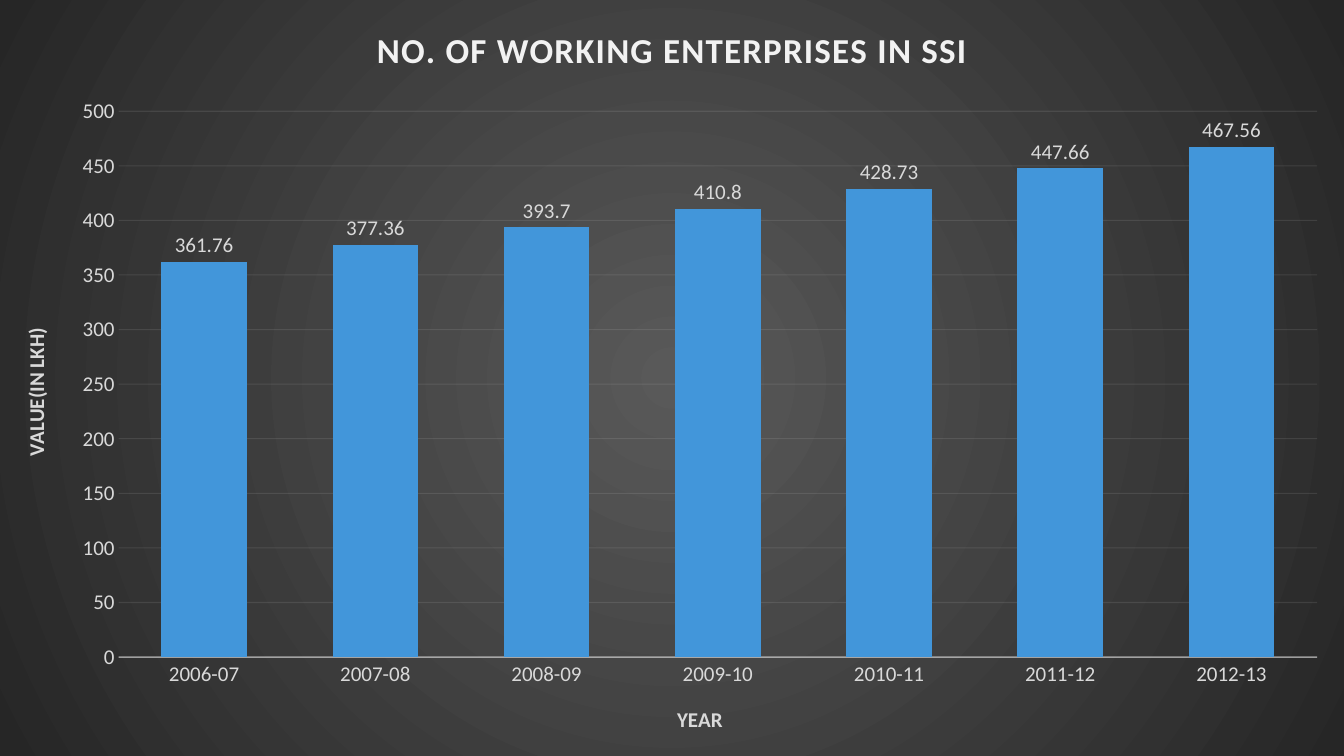
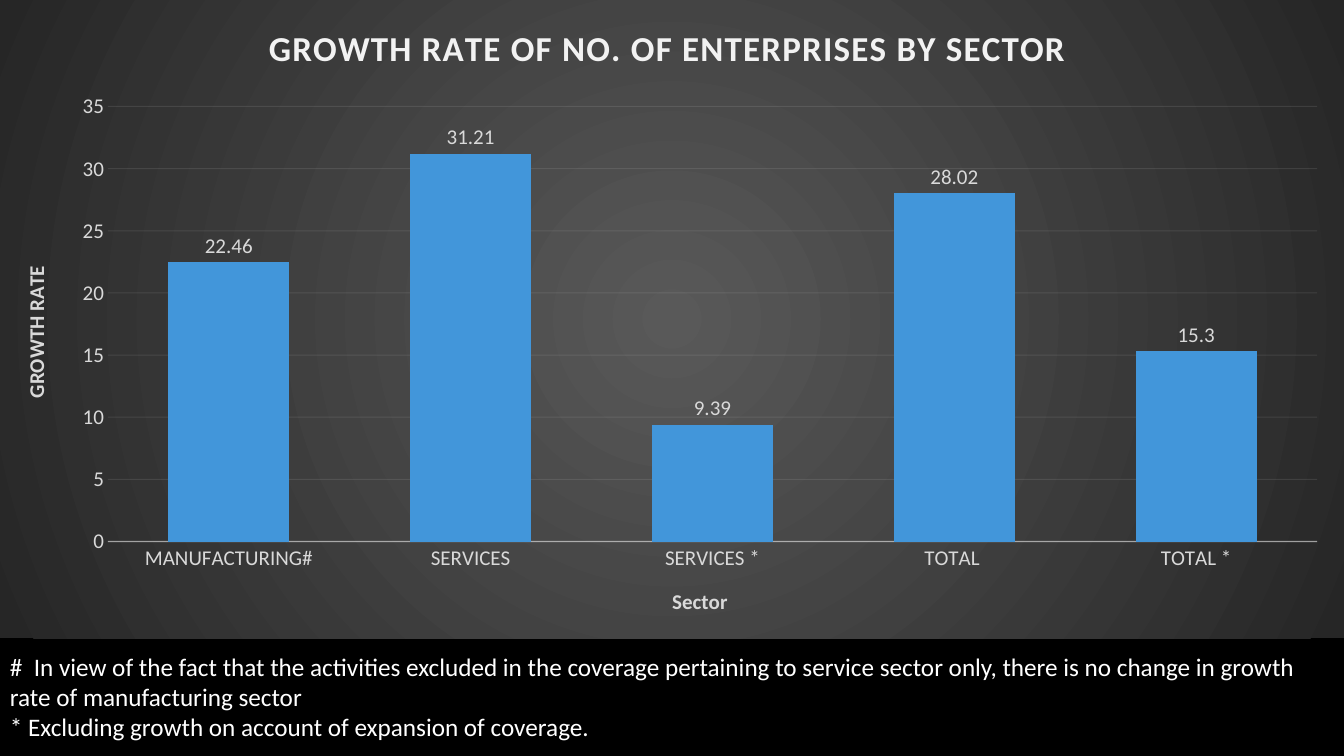
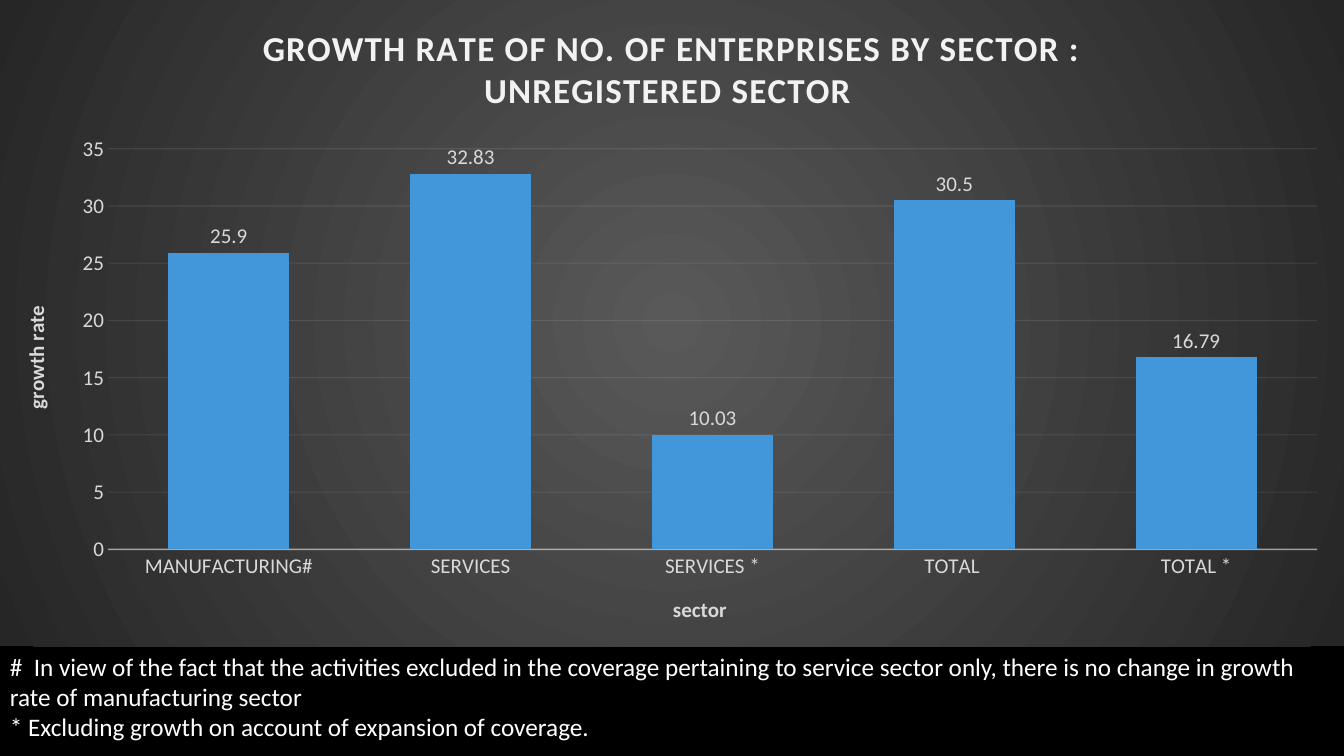
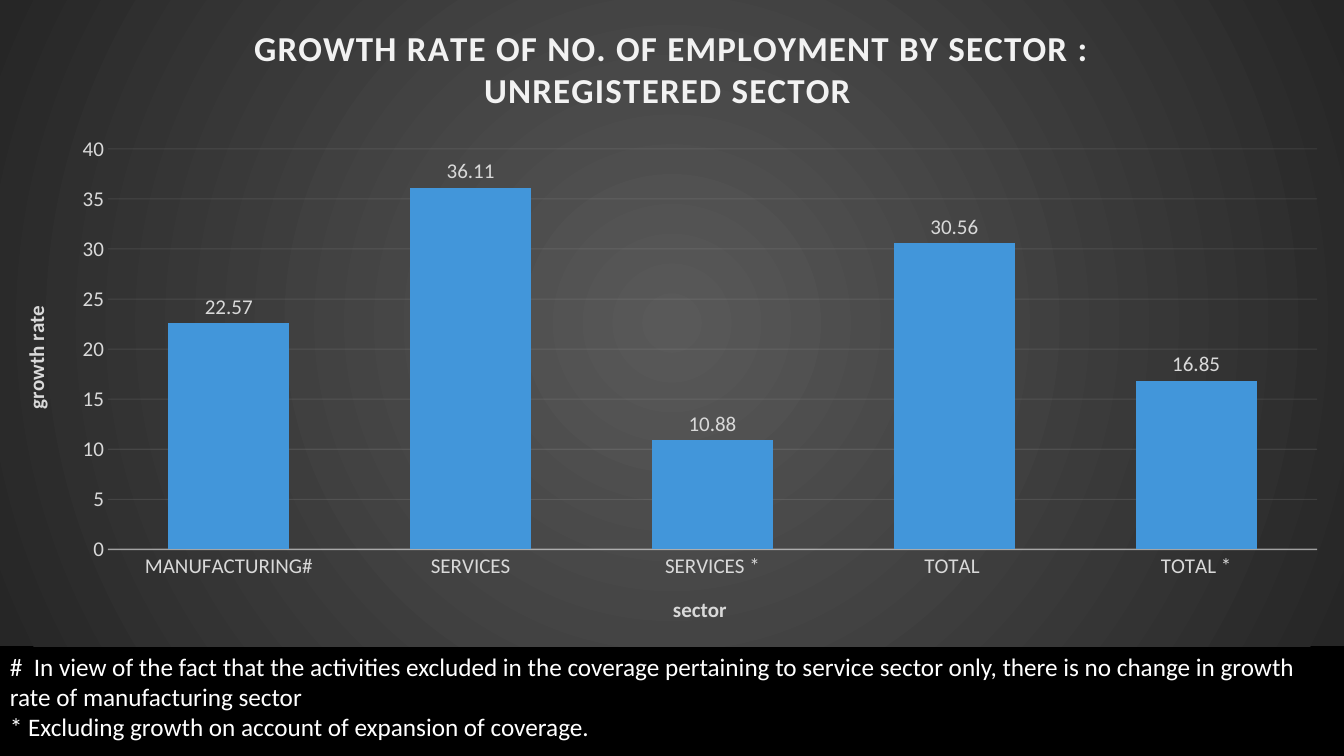
import pptx
import pptx.chart.data
import pptx.dml.color
import pptx.enum.chart
import pptx.enum.text
import pptx.oxml
import pptx.oxml.ns
import pptx.util
from pptx.util import Inches

RGBColor = pptx.dml.color.RGBColor
BLACK = RGBColor(0x00, 0x00, 0x00)
WHITE = RGBColor(0xFF, 0xFF, 0xFF)
HEADING = RGBColor(0xF2, 0xF2, 0xF2)
LABEL = RGBColor(0xD9, 0xD9, 0xD9)
BAR = RGBColor(0x42, 0x96, 0xDA)
GLOW = RGBColor(0x59, 0x59, 0x59)
EDGE = RGBColor(0x26, 0x26, 0x26)

FONT = "Calibri"
WIDTH, HEIGHT = Inches(13.33), Inches(7.5)
NOTES_TOP, NOTES_HEIGHT = Inches(6.41), Inches(1.01)

YEARS = ["2006-07", "2007-08", "2008-09", "2009-10", "2010-11", "2011-12", "2012-13"]
SECTORS = ["MANUFACTURING#", "SERVICES", "SERVICES *", "TOTAL ", "TOTAL *"]
NOTES = [
    "#  In view of the fact that the activities excluded in the coverage pertaining to "
    "service sector only, there is no change in growth rate of manufacturing sector",
    "* Excluding growth on account of expansion of coverage.",
]
SECTOR_SLIDES = [
    ("GROWTH RATE OF NO. OF ENTERPRISES BY SECTOR ", "Sector", "GROWTH RATE",
     [22.46, 31.21, 9.39, 28.02, 15.3], Inches(6.33)),
    ("GROWTH RATE OF NO. OF ENTERPRISES BY SECTOR : UNREGISTERED SECTOR ", "sector",
     "growth rate", [25.9, 32.83, 10.03, 30.5, 16.79], NOTES_TOP),
    ("GROWTH RATE OF NO. OF EMPLOYMENT BY SECTOR : UNREGISTERED SECTOR ", "sector",
     "growth rate", [22.57, 36.11, 10.88, 30.56, 16.85], NOTES_TOP),
]


def style_font(font, size, color, bold=False):
    """Apply the shared typeface with a size, colour and weight."""
    font.name = FONT
    font.size = pptx.util.Pt(size)
    font.color.rgb = color
    font.bold = bold


def write_heading(text_frame, text, size, color):
    """Write a bold chart or axis heading."""
    text_frame.text = text
    style_font(text_frame.paragraphs[0].font, size, color, bold=True)


def set_alpha(chart, query, percent):
    """Make the colours found by an XPath query partly transparent."""
    for color in chart.element.xpath(query):
        alpha = pptx.oxml.parse_xml(
            f'<a:alpha {pptx.oxml.ns.nsdecls("a")} val="{percent * 1000}"/>')
        color.append(alpha)


def fill_chart_area(chart):
    """Fill the chart area with the dark radial gradient."""
    area = pptx.oxml.parse_xml(
        f'<c:spPr {pptx.oxml.ns.nsdecls("c", "a")}><a:gradFill><a:gsLst>'
        f'<a:gs pos="0"><a:srgbClr val="{GLOW}"/></a:gs>'
        f'<a:gs pos="100000"><a:srgbClr val="{EDGE}"/></a:gs></a:gsLst>'
        '<a:path path="circle"><a:fillToRect l="50000" t="50000" r="50000" b="50000"/>'
        '</a:path></a:gradFill><a:ln><a:noFill/></a:ln></c:spPr>')
    chart.element.xpath("c:chart")[0].addnext(area)


def style_axis(axis, title):
    """Format the title, labels and ticks common to both axes."""
    axis.has_title = True
    write_heading(axis.axis_title.text_frame, title, 15, LABEL)
    axis.major_tick_mark = pptx.enum.chart.XL_TICK_MARK.NONE
    axis.minor_tick_mark = pptx.enum.chart.XL_TICK_MARK.NONE
    style_font(axis.tick_labels.font, 15, LABEL)


def style_axes(chart, category_title, value_title):
    """Format both axes, the baseline and the gridlines."""
    categories, values = chart.category_axis, chart.value_axis
    style_axis(categories, category_title)
    style_axis(values, value_title)
    values.format.line.fill.background()
    categories.has_major_gridlines = False
    values.has_major_gridlines = True
    for line, width in ((categories.format.line, 1), (values.major_gridlines.format.line, 0.75)):
        line.color.rgb = HEADING
        line.width = pptx.util.Pt(width)
    set_alpha(chart, ".//c:catAx/c:spPr//a:srgbClr", 54)
    set_alpha(chart, ".//c:majorGridlines//a:srgbClr", 10)
    chart.element.xpath(".//c:valAx/c:title//a:bodyPr")[0].set("rot", "-5400000")


def style_bars(plot):
    """Format the columns and the values above them."""
    plot.gap_width = 100
    plot.overlap = -24
    plot.vary_by_categories = False
    bars = plot.series[0]
    bars.format.fill.solid()
    bars.format.fill.fore_color.rgb = BAR
    plot.has_data_labels = True
    labels = plot.data_labels
    labels.show_value = True
    labels.position = pptx.enum.chart.XL_LABEL_POSITION.OUTSIDE_END
    style_font(labels.font, 15, LABEL)


def add_column_chart(slide, box, title, category_title, value_title, categories, values):
    """Add a titled column chart that fills the given box."""
    data = pptx.chart.data.CategoryChartData()
    data.categories = categories
    data.add_series("Series 1", values)
    kind = pptx.enum.chart.XL_CHART_TYPE.COLUMN_CLUSTERED
    chart = slide.shapes.add_chart(kind, *box, data).chart
    style_font(chart.font, 10, WHITE)
    chart.has_legend = False
    chart.has_title = True
    write_heading(chart.chart_title.text_frame, title, 25, HEADING)
    chart.element.xpath("c:chart/c:title//a:defRPr")[0].set("spc", "100")
    style_axes(chart, category_title, value_title)
    style_bars(chart.plots[0])
    fill_chart_area(chart)


def add_notes_band(slide, box):
    """Add the footnotes to the given box."""
    frame = slide.shapes.add_textbox(*box).text_frame
    frame.word_wrap = True
    frame.auto_size = pptx.enum.text.MSO_AUTO_SIZE.SHAPE_TO_FIT_TEXT
    frame.text = "\n".join(NOTES)
    for paragraph in frame.paragraphs:
        style_font(paragraph.font, 18, WHITE)


def main():
    """Build and save the presentation."""
    deck = pptx.Presentation()
    deck.slide_width, deck.slide_height = WIDTH, HEIGHT
    backdrop = deck.slide_master.background.fill
    backdrop.solid()
    backdrop.fore_color.rgb = BLACK
    blank = deck.slide_layouts[6]

    add_column_chart(
        deck.slides.add_slide(blank), (0, 0, WIDTH, HEIGHT),
        "NO. OF WORKING ENTERPRISES IN SSI", "YEAR", "VALUE(IN LKH)",
        YEARS, [361.76, 377.36, 393.7, 410.8, 428.73, 447.66, 467.56])
    for title, category_title, value_title, rates, chart_height in SECTOR_SLIDES:
        slide = deck.slides.add_slide(blank)
        add_column_chart(slide, (0, 0, WIDTH, chart_height), title,
                         category_title, value_title, SECTORS, rates)
        add_notes_band(slide, (0, NOTES_TOP, WIDTH, NOTES_HEIGHT))
    deck.save("out.pptx")


if __name__ == "__main__":
    main()
